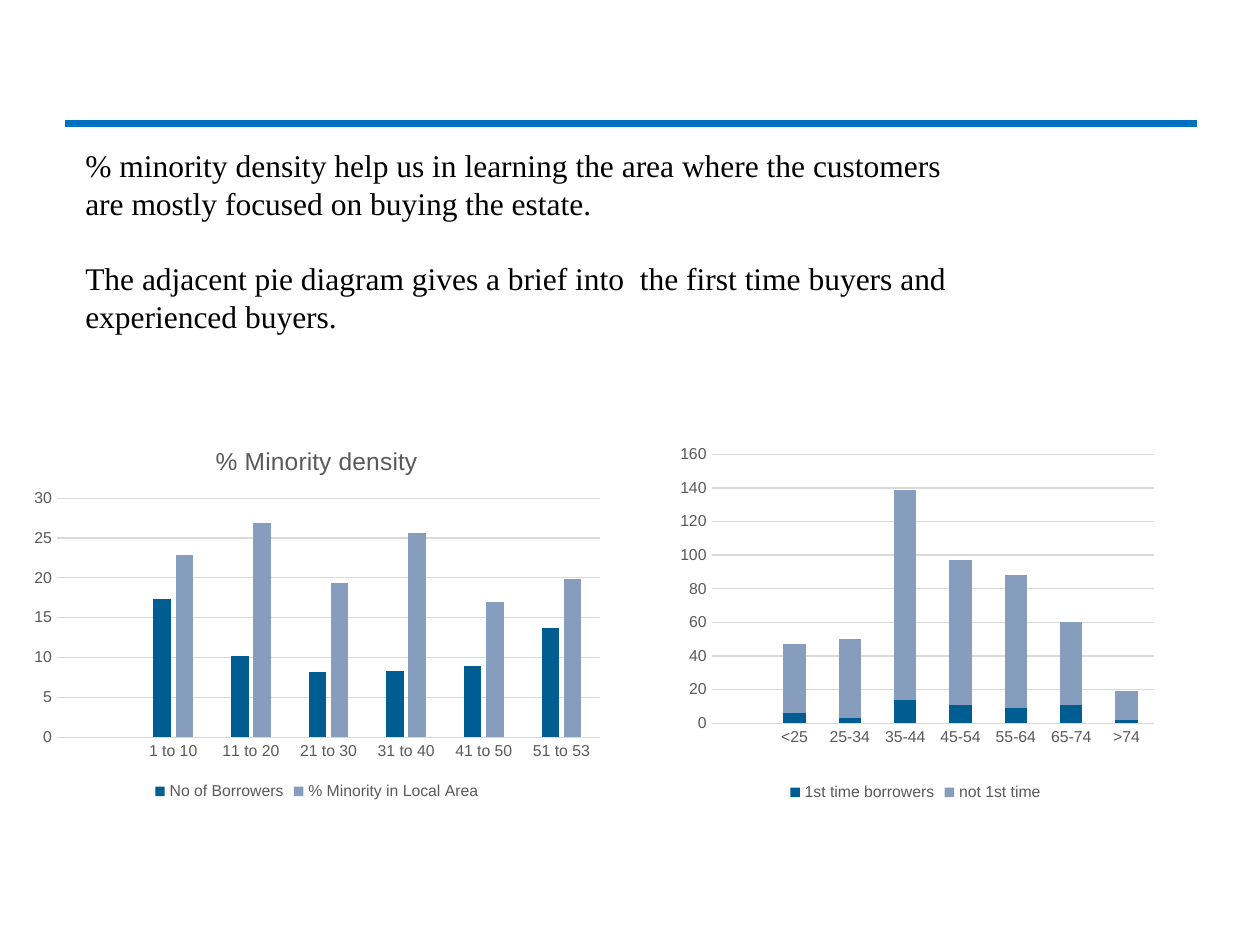
from dataclasses import dataclass

from lxml.etree import SubElement
from pptx import Presentation
from pptx.chart.data import CategoryChartData
from pptx.dml.color import RGBColor
from pptx.enum.chart import XL_CHART_TYPE, XL_LEGEND_POSITION, XL_TICK_MARK
from pptx.enum.shapes import MSO_CONNECTOR
from pptx.enum.text import MSO_AUTO_SIZE
from pptx.oxml.ns import qn
from pptx.util import Cm, Pt


@dataclass(frozen=True)
class Theme:
    rule: RGBColor = RGBColor(0x00, 0x70, 0xC0)
    text: RGBColor = RGBColor(0x00, 0x00, 0x00)
    label: RGBColor = RGBColor(0x59, 0x59, 0x59)
    grid: RGBColor = RGBColor(0xD9, 0xD9, 0xD9)
    series: tuple = (RGBColor(0x00, 0x5D, 0x91), RGBColor(0x87, 0x9D, 0xBD))
    body_font: str = "Times New Roman"
    chart_font: str = "Arial"
    body_size: Pt = Pt(18)
    title_size: Pt = Pt(14)
    label_size: Pt = Pt(9)
    grid_width: Pt = Pt(0.75)
    rule_width: Pt = Pt(4.5)


@dataclass(frozen=True)
class Box:
    left: float
    top: float
    width: float
    height: float

    def lengths(self) -> tuple:
        return tuple(Cm(v) for v in (self.left, self.top, self.width, self.height))


@dataclass(frozen=True)
class ColumnChart:
    box: Box
    kind: XL_CHART_TYPE
    categories: tuple
    series: dict
    gap: int
    overlap: int
    plot: Box
    title: str = ""


THEME = Theme()

PARAGRAPHS = (
    "% minority density help us in learning the area where the customers "
    "are mostly focused on buying the estate.",
    "The adjacent pie diagram gives a brief into  the first time buyers and "
    "experienced buyers.",
)

CHARTS = (
    ColumnChart(
        Box(0.43, 8.59, 11.91, 7.65),
        XL_CHART_TYPE.COLUMN_CLUSTERED,
        ("", "1 to 10", "11 to 20", "21 to 30", "31 to 40", "41 to 50", "51 to 53"),
        {
            "No of Borrowers": (None, 17.4, 10.2, 8.2, 8.3, 8.9, 13.7),
            "% Minority in Local Area": (None, 22.8, 26.9, 19.4, 25.6, 17, 19.8),
        },
        gap=219,
        overlap=-27,
        plot=Box(0.06, 0.19, 0.92, 0.63),
        title="% Minority density",
    ),
    ColumnChart(
        Box(13.44, 8.28, 10.03, 7.98),
        XL_CHART_TYPE.COLUMN_STACKED,
        ("", "<25", "25-34", "35-44", "45-54", "55-64", "65-74", ">74"),
        {
            "1st time borrowers": (None, 6, 3, 14, 11, 9, 11, 2),
            "not 1st time": (None, 41, 47, 125, 86, 79, 49, 17),
        },
        gap=150,
        overlap=100,
        plot=Box(0.09, 0.11, 0.89, 0.68),
    ),
)


def set_attrs(obj, values: dict) -> None:
    for name, value in values.items():
        setattr(obj, name, value)


def set_font(font, name: str, size: Pt, color: RGBColor) -> None:
    set_attrs(font, {"name": name, "size": size, "bold": False})
    font.color.rgb = color


def set_line(line, color: RGBColor, width: Pt) -> None:
    line.color.rgb = color
    line.width = width


def add_rule(s, left: float, right: float, y: float) -> None:
    rule = s.shapes.add_connector(MSO_CONNECTOR.STRAIGHT, Cm(left), Cm(y), Cm(right), Cm(y))
    set_line(rule.line, THEME.rule, THEME.rule_width)
    SubElement(rule.element.spPr, qn("a:effectLst"))


def add_text(s, box: Box, paragraphs: tuple) -> None:
    tf = s.shapes.add_textbox(*box.lengths()).text_frame
    set_attrs(tf, {"word_wrap": True, "auto_size": MSO_AUTO_SIZE.SHAPE_TO_FIT_TEXT})
    for i, text in enumerate(paragraphs):
        p = tf.add_paragraph() if i else tf.paragraphs[0]
        p.space_before = Pt(21.6 if i else 0)
        r = p.add_run()
        r.text = text
        set_font(r.font, THEME.body_font, THEME.body_size, THEME.text)


def set_plot_layout(chart, plot: Box) -> None:
    area = chart.element.find(".//" + qn("c:plotArea"))
    layout = area.find(qn("c:layout"))
    if layout is None:
        layout = SubElement(area, qn("c:layout"))
        area.insert(0, layout)
    manual = SubElement(layout, qn("c:manualLayout"))
    values = {
        "layoutTarget": "inner", "xMode": "edge", "yMode": "edge",
        "x": plot.left, "y": plot.top, "w": plot.width, "h": plot.height,
    }
    for tag, value in values.items():
        SubElement(manual, qn(f"c:{tag}")).set("val", str(value))


def add_column_chart(s, spec: ColumnChart) -> None:
    data = CategoryChartData()
    data.categories = spec.categories
    for name, values in spec.series.items():
        data.add_series(name, values)
    chart = s.shapes.add_chart(spec.kind, *spec.box.lengths(), data).chart
    label = (THEME.chart_font, THEME.label_size, THEME.label)
    set_font(chart.font, *label)

    chart.has_title = bool(spec.title)
    if spec.title:
        p = chart.chart_title.text_frame.paragraphs[0]
        r = p.add_run()
        r.text = spec.title
        set_font(r.font, THEME.chart_font, THEME.title_size, THEME.label)

    chart.has_legend = True
    set_attrs(chart.legend, {"position": XL_LEGEND_POSITION.BOTTOM, "include_in_layout": False})
    set_font(chart.legend.font, *label)

    for axis in (chart.category_axis, chart.value_axis):
        set_attrs(axis, {"major_tick_mark": XL_TICK_MARK.NONE, "minor_tick_mark": XL_TICK_MARK.NONE})
        set_font(axis.tick_labels.font, *label)
    set_line(chart.category_axis.format.line, THEME.grid, THEME.grid_width)
    chart.value_axis.format.line.fill.background()
    set_line(chart.value_axis.major_gridlines.format.line, THEME.grid, THEME.grid_width)

    plot = chart.plots[0]
    set_attrs(plot, {"gap_width": spec.gap, "overlap": spec.overlap, "vary_by_categories": False})
    for series, color in zip(plot.series, THEME.series):
        series.format.fill.solid()
        series.format.fill.fore_color.rgb = color
    set_plot_layout(chart, spec.plot)


def main() -> None:
    prs = Presentation()
    set_attrs(prs, {"slide_width": Cm(25.4), "slide_height": Cm(19.05)})
    s = prs.slides.add_slide(prs.slide_layouts[6])
    add_rule(s, 1.32, 24.13, 2.49)
    add_text(s, Box(1.47, 2.82, 18.24, 4.11), PARAGRAPHS)
    for spec in CHARTS:
        add_column_chart(s, spec)
    prs.save("out.pptx")


if __name__ == "__main__":
    main()
